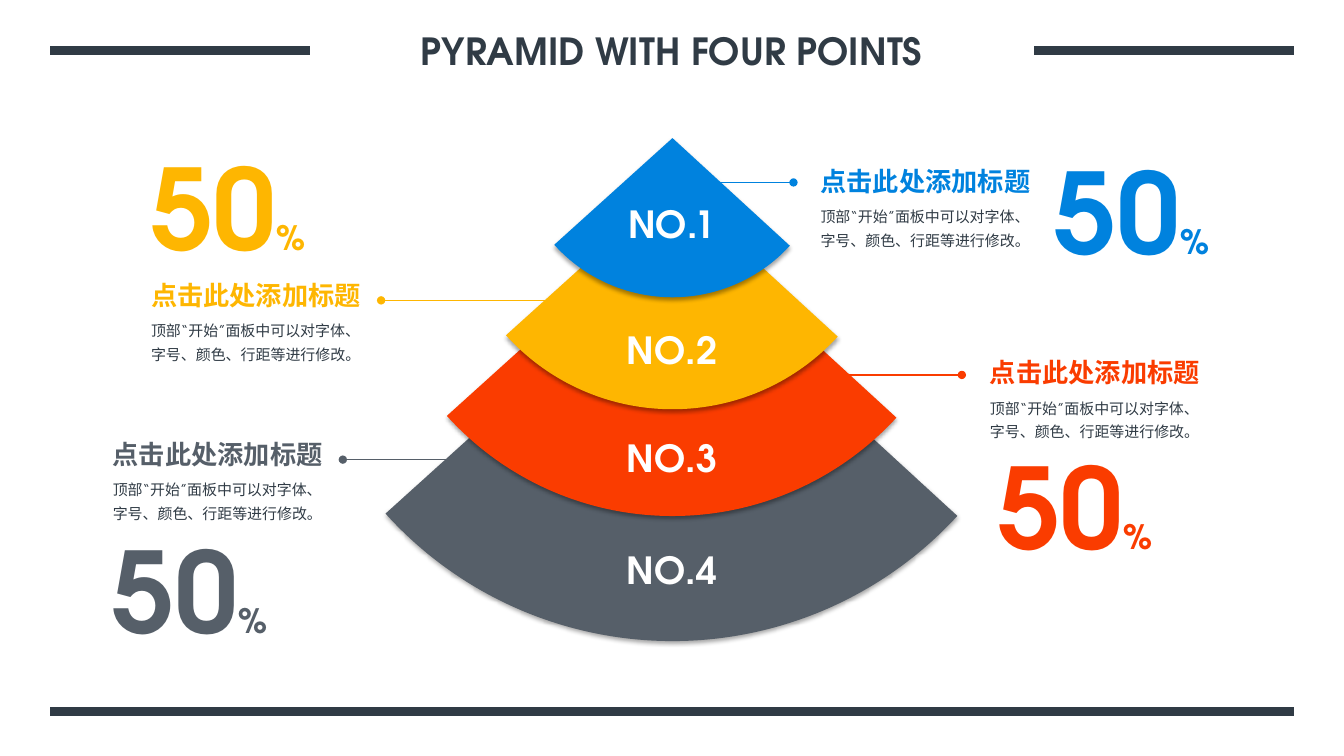
from lxml import etree
from pptx import Presentation
from pptx import util as u
from pptx.dml.color import RGBColor
from pptx.enum import shapes, text
from pptx.oxml import ns

FONT = "TeX Gyre Adventor"
DARK, GREY, RED, YELLOW, BLUE = "303B45", "565F69", "FA3C00", "FEB601", "0082DE"
LEFT, CENTER, RIGHT = text.PP_ALIGN.LEFT, text.PP_ALIGN.CENTER, text.PP_ALIGN.RIGHT
HEADING = "点击此处添加标题"
BODY = "顶部“开始”面板中可以对字体、字号、颜色、行距等进行修改。"
CENTER_X = 6.67

# label, colour, top of pie, diameter, top of label
LAYERS = [
    ("NO.4", GREY, -1.31, 7.67, 5.38),
    ("NO.3", RED, -0.91, 6.03, 4.27),
    ("NO.2", YELLOW, -0.39, 4.45, 3.2),
    ("NO.1", BLUE, -0.21, 3.16, 1.95),
]

# colour, heading (x, y), leader (from x, to x, y), percentage (x, y, alignment)
POINTS = [
    (BLUE, (8.04, 1.59), (6.89, 7.87, 1.81), (10.34, 1.36, RIGHT)),
    (RED, (9.72, 3.49), (8.16, 9.54, 3.72), (9.78, 4.29, RIGHT)),
    (YELLOW, (1.4, 2.72), (5.48, 3.78, 2.98), (1.4, 1.32, LEFT)),
    (GREY, (1.02, 4.3), (4.58, 3.4, 4.56), (1.02, 5.12, LEFT)),
]


def rgb(value):
    return RGBColor.from_string(value)


def add_xml(parent, tag, **attrs):
    return etree.SubElement(parent, ns.qn(tag), attrs)


def add_run(p, content, size, color, bold=True):
    r = p.add_run()
    r.text = content
    r.font.size = u.Pt(size)
    r.font.bold = bold
    r.font.name = FONT
    r.font.color.rgb = rgb(color)
    add_xml(r.font._element, "a:ea", typeface=FONT)


def add_text(s, box, runs, color, align=LEFT, bold=True, wrap=False, spacing=None):
    sp = s.shapes.add_textbox(*map(u.Inches, box))
    tf = sp.text_frame
    tf.word_wrap = wrap
    tf.auto_size = text.MSO_AUTO_SIZE.SHAPE_TO_FIT_TEXT
    p = tf.paragraphs[0]
    p.alignment = align
    if spacing:
        p.line_spacing = spacing
    for content, size in runs:
        add_run(p, content, size, color, bold)


def add_line(s, x1, x2, y, color, width, dot=False):
    sp = s.shapes.add_connector(
        shapes.MSO_CONNECTOR.STRAIGHT, *map(u.Inches, (x1, y, x2, y)))
    sp.line.color.rgb = rgb(color)
    sp.line.width = u.Pt(width)
    if dot:
        add_xml(sp.line._get_or_add_ln(), "a:tailEnd", type="oval")
    add_xml(sp._element.spPr, "a:effectLst")


def add_layer(s, color, top, size):
    sp = s.shapes.add_shape(
        shapes.MSO_SHAPE.PIE,
        *map(u.Inches, (CENTER_X - size / 2, top, size, size)))
    # Pie angles count 60000 units a degree
    for i, degrees in enumerate((42.55, 137.91)):
        sp.adjustments[i] = degrees * 0.6
    sp.fill.solid()
    sp.fill.fore_color.rgb = rgb(color)
    sp.line.fill.background()
    sp.shadow.inherit = False
    effects = sp._element.spPr.find(ns.qn("a:effectLst"))
    shadow = add_xml(effects, "a:outerShdw", blurRad=str(u.Pt(3.1)),
                     dist=str(u.Pt(1.8)), dir="5400000", rotWithShape="0")
    black = add_xml(shadow, "a:srgbClr", val="000000")
    add_xml(black, "a:alpha", val="35000")


def add_point(s, color, heading, leader, percentage):
    x, y = heading
    add_text(s, (x, y + 0.37, 2.38, 0.57), [(BODY, 10.7)], DARK,
             bold=False, wrap=True, spacing=1.3)
    add_text(s, (x, y, 2.29, 0.42), [(HEADING, 18.7)], color)
    add_line(s, *leader, color, 1, dot=True)
    px, py, align = percentage
    add_text(s, (px, py, 1.75, 1.45), [("50", 80), ("%", 24)], color, align)


def set_title(s, content):
    sp = s.shapes.title
    sp.left, sp.top, sp.width, sp.height = map(u.Inches, (3.07, 0.2, 7.19, 0.6))
    tf = sp.text_frame
    tf.auto_size = text.MSO_AUTO_SIZE.NONE
    tf.vertical_anchor = text.MSO_ANCHOR.MIDDLE
    p = tf.paragraphs[0]
    p.alignment = CENTER
    add_run(p, content, 26.7, DARK)


def main():
    prs = Presentation()
    prs.slide_width, prs.slide_height = u.Inches(13.33), u.Inches(7.5)
    s = prs.slides.add_slide(prs.slide_layouts[5])

    # Title and frame bars
    set_title(s, "PYRAMID WITH FOUR POINTS")
    for x1, x2, y in ((0.5, 3.07, 0.5), (10.26, 12.83, 0.5), (0.5, 12.83, 7.06)):
        add_line(s, x1, x2, y, DARK, 6)

    # Pyramid, from the bottom layer up
    for label, color, top, size, label_top in LAYERS:
        add_layer(s, color, top, size)

    # Points beside the pyramid
    for point in POINTS:
        add_point(s, *point)

    # Layer labels
    for label, color, top, size, label_top in LAYERS:
        add_text(s, (CENTER_X - 0.56, label_top, 1.11, 0.55),
                 [(label, 26.7)], "FFFFFF", CENTER)

    prs.save("out.pptx")


if __name__ == "__main__":
    main()
